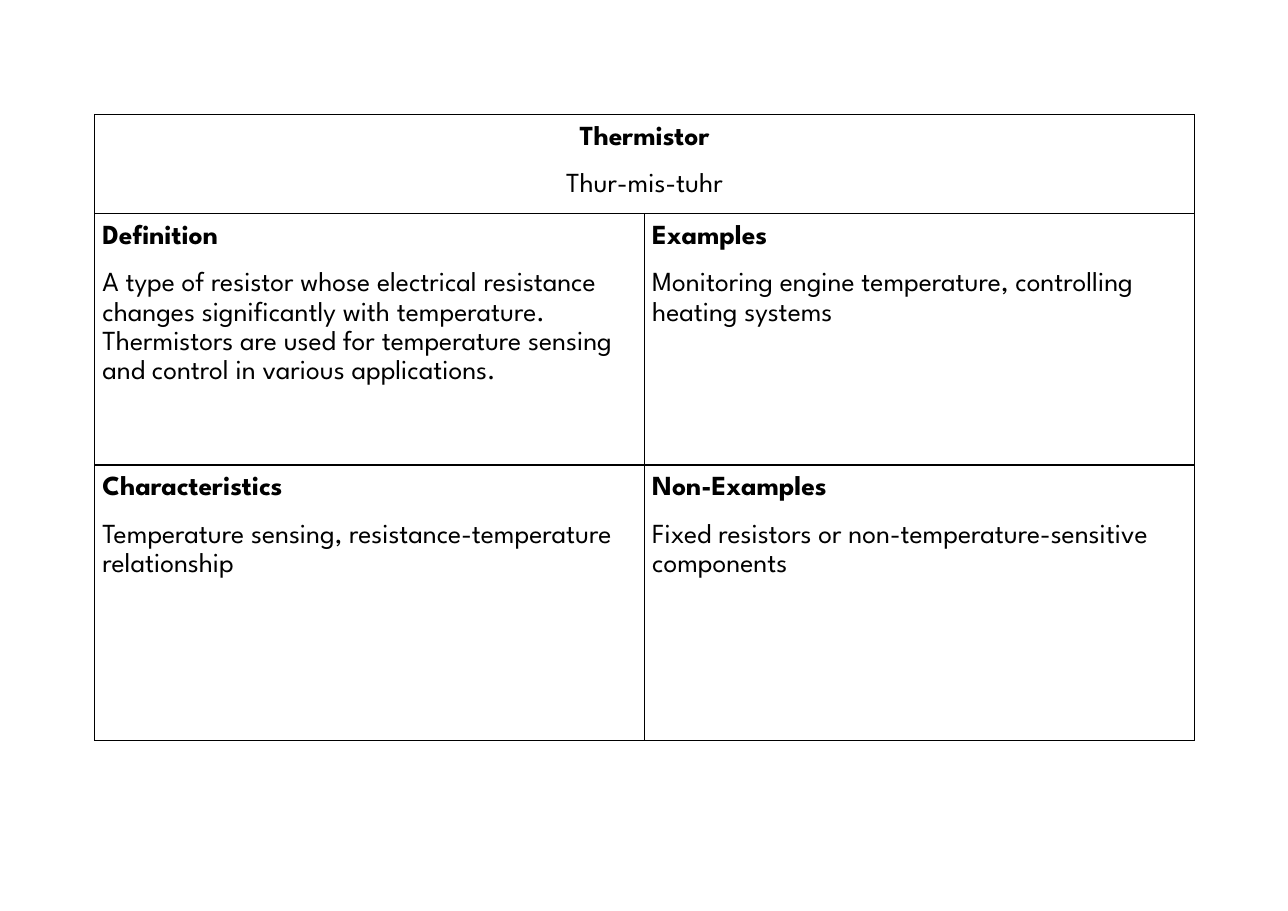
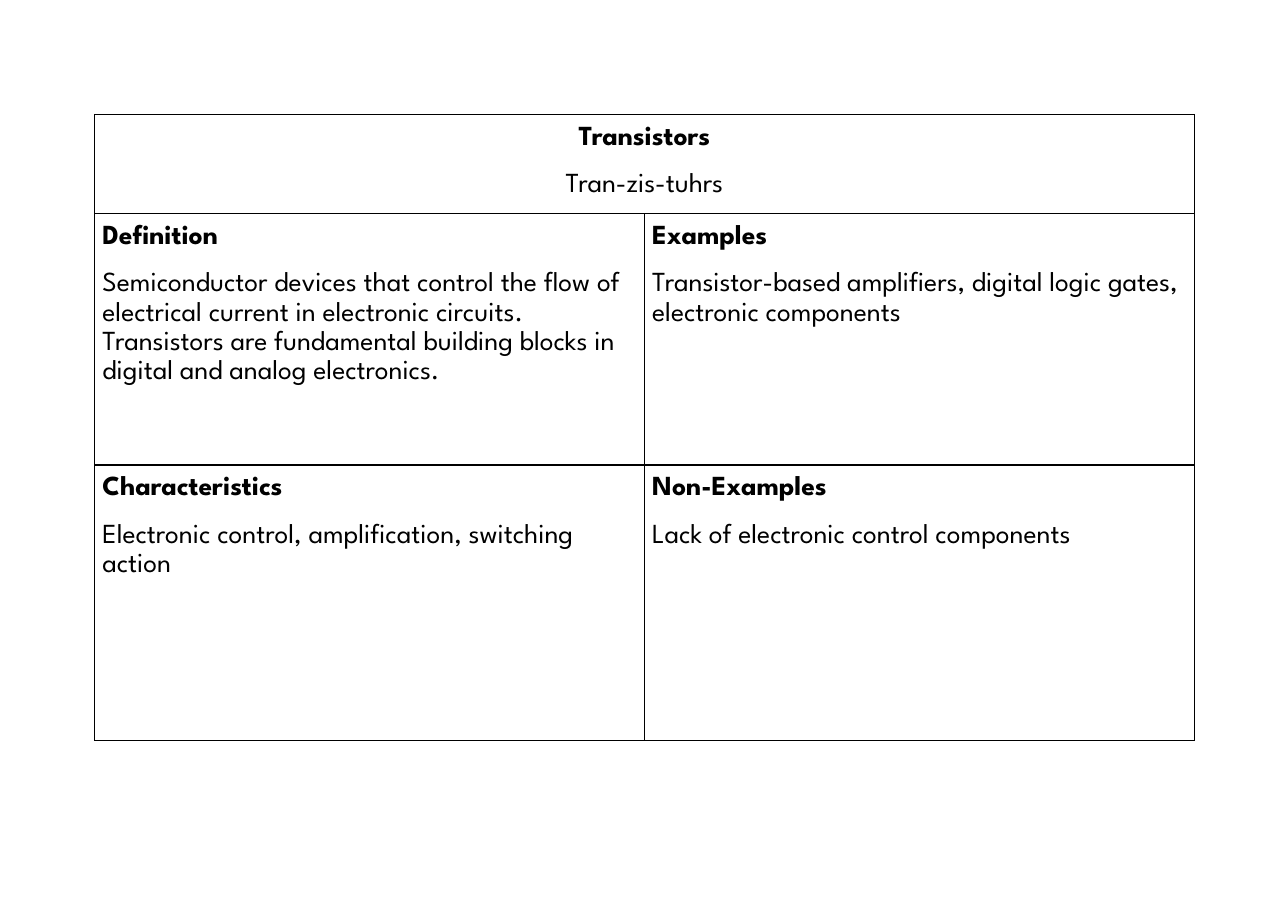
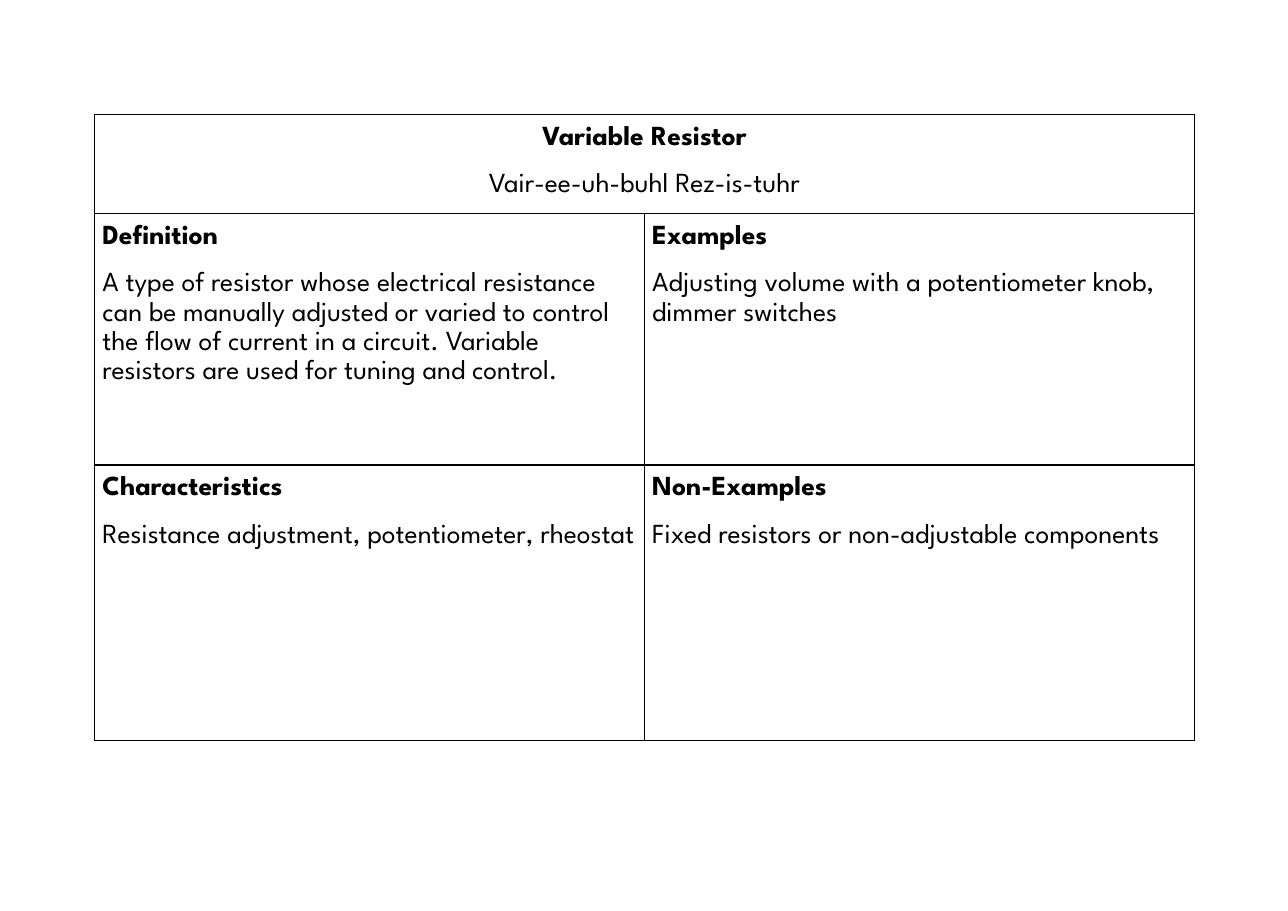
from lxml import etree
from pptx import Presentation
from pptx.dml.color import RGBColor
from pptx.enum.text import PP_ALIGN
from pptx.oxml.ns import qn
from pptx.util import Inches, Pt

BLACK = RGBColor(0x00, 0x00, 0x00)
FONT = {"name": "League Spartan", "size": Pt(18)}
INSETS = {f"margin_{side}": Inches(0.07) for side in ("left", "right", "top", "bottom")}
BORDER_WIDTH = Pt(1)
LEFT, TOP = Inches(0.86), Inches(1.04)
COLUMN_WIDTH = Inches(4.99)
ROW_HEIGHTS = [Inches(height) for height in (0.9, 2.28, 2.5)]
HEADINGS = ("Definition", "Examples", "Characteristics", "Non-Examples")

# Each card: term, pronunciation, then one text per heading.
CARDS = [
    ("Thermistor", "Thur-mis-tuhr", (
        "A type of resistor whose electrical resistance changes significantly with "
        "temperature. Thermistors are used for temperature sensing and control in "
        "various applications.",
        "Monitoring engine temperature, controlling heating systems",
        "Temperature sensing, resistance-temperature relationship",
        "Fixed resistors or non-temperature-sensitive components")),
    ("Transistors", "Tran-zis-tuhrs", (
        "Semiconductor devices that control the flow of electrical current in "
        "electronic circuits. Transistors are fundamental building blocks in digital "
        "and analog electronics.",
        "Transistor-based amplifiers, digital logic gates, electronic components",
        "Electronic control, amplification, switching action",
        "Lack of electronic control components")),
    ("Variable Resistor", "Vair-ee-uh-buhl Rez-is-tuhr", (
        "A type of resistor whose electrical resistance can be manually adjusted or "
        "varied to control the flow of current in a circuit. Variable resistors are "
        "used for tuning and control.",
        "Adjusting volume with a potentiometer knob, dimmer switches",
        "Resistance adjustment, potentiometer, rheostat",
        "Fixed resistors or non-adjustable components")),
]


def set_attributes(target, values):
    for name, value in values.items():
        setattr(target, name, value)


def style_cell(cell):
    """Give the cell its insets, black borders and no fill."""
    set_attributes(cell, INSETS)
    properties = cell._tc.get_or_add_tcPr()
    for side in ("a:lnL", "a:lnR", "a:lnT", "a:lnB"):
        line = etree.SubElement(properties, qn(side), w=str(BORDER_WIDTH))
        fill = etree.SubElement(line, qn("a:solidFill"))
        etree.SubElement(fill, qn("a:srgbClr"), val=str(BLACK))
    cell.fill.background()


def write_cell(cell, heading, body, alignment=PP_ALIGN.LEFT):
    """Write a bold heading with a plain paragraph below it."""
    frame = cell.text_frame
    first, second = frame.paragraphs[0], frame.add_paragraph()
    second.space_before = Pt(12)
    for paragraph, content, bold in ((first, heading, True), (second, body, False)):
        set_attributes(paragraph, {"alignment": alignment, "line_spacing": 1.15})
        run = paragraph.add_run()
        run.text = content
        set_attributes(run.font, {**FONT, "bold": bold})
        run.font.color.rgb = BLACK


def add_card(presentation, term, pronunciation, bodies):
    slide = presentation.slides.add_slide(presentation.slide_layouts[6])
    table = slide.shapes.add_table(
        len(ROW_HEIGHTS), 2, LEFT, TOP, 2 * COLUMN_WIDTH, sum(ROW_HEIGHTS)).table
    set_attributes(table, {"first_row": False, "horz_banding": False})
    for column in table.columns:
        column.width = COLUMN_WIDTH
    for row, height in zip(table.rows, ROW_HEIGHTS):
        row.height = height
    for cell in table.iter_cells():
        style_cell(cell)

    table.cell(0, 0).merge(table.cell(0, 1))
    write_cell(table.cell(0, 0), term, pronunciation, PP_ALIGN.CENTER)
    for index, (heading, body) in enumerate(zip(HEADINGS, bodies)):
        write_cell(table.cell(1 + index // 2, index % 2), heading, body)


def main():
    presentation = Presentation()
    set_attributes(presentation, {"slide_width": Inches(11.69), "slide_height": Inches(8.27)})
    for card in CARDS:
        add_card(presentation, *card)
    presentation.save("out.pptx")


if __name__ == "__main__":
    main()
